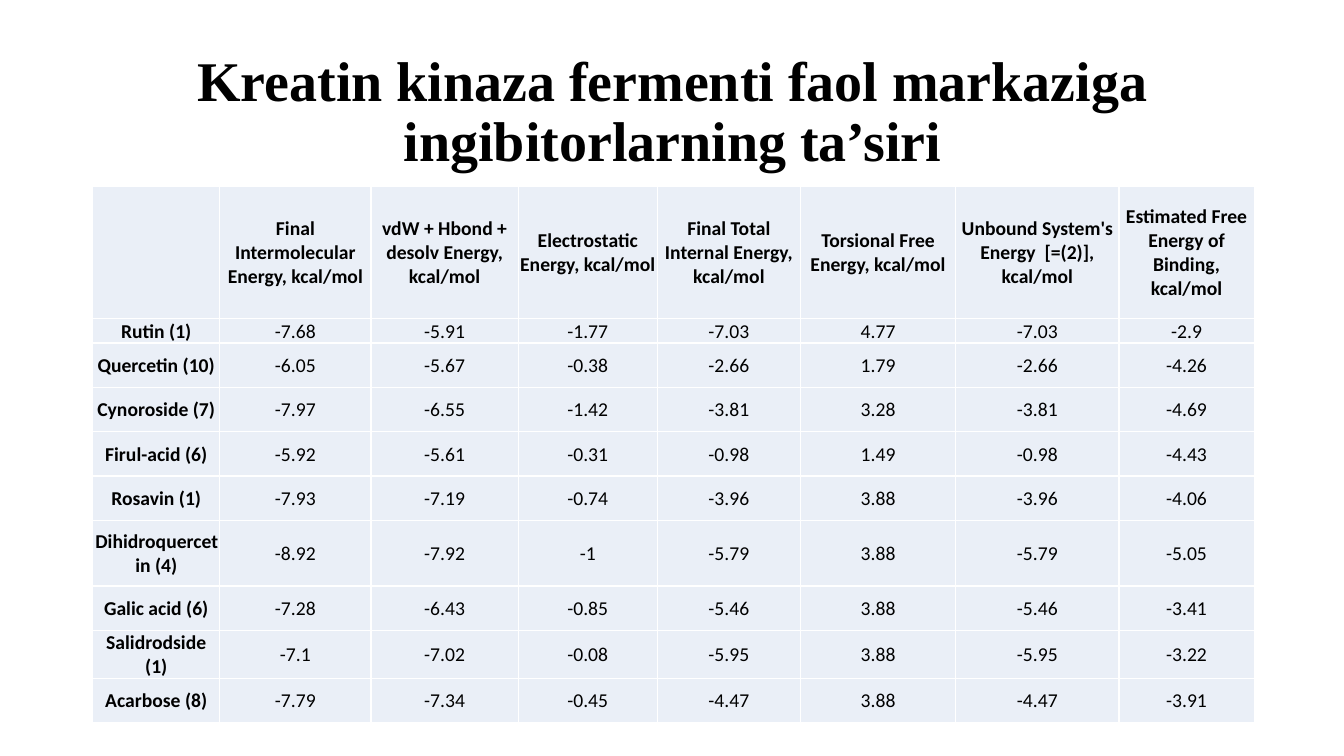
from dataclasses import dataclass

from lxml.etree import SubElement
from pptx import Presentation
from pptx.dml.color import RGBColor
from pptx.enum.text import MSO_VERTICAL_ANCHOR as Anchor, PP_PARAGRAPH_ALIGNMENT as Align
from pptx.oxml.ns import qn
from pptx.slide import Slide
from pptx.table import _Cell as Cell
from pptx.text.text import TextFrame
from pptx.util import Inches, Pt

BLACK = RGBColor(0x00, 0x00, 0x00)
WHITE = RGBColor(0xFF, 0xFF, 0xFF)
PALE_BLUE = RGBColor(0xEA, 0xEF, 0xF7)

LEFT = 0.92
WIDTH = 11.5
TITLE = "Kreatin kinaza fermenti faol markaziga ingibitorlarning ta’siri"


@dataclass(frozen=True)
class Column:
    heading: str
    width: float


@dataclass(frozen=True)
class Inhibitor:
    name: str
    energies: tuple[str, ...]
    height: float = 0.44


HEADING_HEIGHT = 1.31
COLUMNS = [
    Column("", 1.26),
    Column("Final Intermolecular Energy, kcal/mol", 1.5),
    Column("vdW + Hbond + desolv Energy, kcal/mol", 1.46),
    Column("Electrostatic Energy, kcal/mol", 1.38),
    Column("Final Total Internal Energy, kcal/mol", 1.42),
    Column("Torsional Free Energy, kcal/mol", 1.54),
    Column("Unbound System's Energy  [=(2)], kcal/mol", 1.62),
    Column("Estimated Free Energy of Binding, kcal/mol", 1.34),
]
INHIBITORS = [
    Inhibitor("Rutin (1)", ("-7.68", "-5.91", "-1.77", "-7.03", "4.77", "-7.03", "-2.9"), 0.22),
    Inhibitor("Quercetin (10)", ("-6.05", "-5.67", "-0.38", "-2.66", "1.79", "-2.66", "-4.26")),
    Inhibitor("Cynoroside (7)", ("-7.97", "-6.55", "-1.42", "-3.81", "3.28", "-3.81", "-4.69")),
    Inhibitor("Firul-acid (6)", ("-5.92", "-5.61", "-0.31", "-0.98", "1.49", "-0.98", "-4.43")),
    Inhibitor("Rosavin (1)", ("-7.93", "-7.19", "-0.74", "-3.96", "3.88", "-3.96", "-4.06")),
    Inhibitor("Dihidroquercetin (4)", ("-8.92", "-7.92", "-1", "-5.79", "3.88", "-5.79", "-5.05"), 0.65),
    Inhibitor("Galic acid (6)", ("-7.28", "-6.43", "-0.85", "-5.46", "3.88", "-5.46", "-3.41")),
    Inhibitor("Salidrodside (1)", ("-7.1", "-7.02", "-0.08", "-5.95", "3.88", "-5.95", "-3.22")),
    Inhibitor("Acarbose (8)", ("-7.79", "-7.34", "-0.45", "-4.47", "3.88", "-4.47", "-3.91")),
]


def write(frame: TextFrame, text: str, *, font: str, size: float, bold: bool,
          line_spacing: float = 1.0) -> None:
    frame.word_wrap = True
    paragraph = frame.paragraphs[0]
    paragraph.alignment = Align.CENTER
    paragraph.line_spacing = line_spacing
    paragraph.font.size = Pt(size)
    if not text:
        return
    run = paragraph.add_run()
    run.text = text
    run.font.name = font
    run.font.size = Pt(size)
    run.font.bold = bold
    run.font.color.rgb = BLACK


def add_borders(cell: Cell) -> None:
    properties = cell._tc.get_or_add_tcPr()
    for side in ("a:lnL", "a:lnR", "a:lnT", "a:lnB"):
        line = SubElement(properties, qn(side), w=str(Pt(1)))
        fill = SubElement(line, qn("a:solidFill"))
        SubElement(fill, qn("a:srgbClr"), val=str(WHITE))


def style_cell(cell: Cell, text: str, bold: bool) -> None:
    cell.margin_left = cell.margin_right = cell.margin_top = Inches(0.01)
    cell.margin_bottom = 0
    cell.vertical_anchor = Anchor.MIDDLE
    add_borders(cell)
    cell.fill.solid()
    cell.fill.fore_color.rgb = PALE_BLUE
    write(cell.text_frame, text, font="Calibri", size=14, bold=bold)


def add_title(slide: Slide) -> None:
    title = slide.shapes.add_textbox(Inches(LEFT), Inches(0.4), Inches(WIDTH), Inches(1.45))
    title.text_frame.vertical_anchor = Anchor.MIDDLE
    write(title.text_frame, TITLE, font="Times New Roman", size=40, bold=True, line_spacing=0.9)


def add_energy_table(slide: Slide) -> None:
    rows = [tuple(column.heading for column in COLUMNS)]
    rows += [(inhibitor.name, *inhibitor.energies) for inhibitor in INHIBITORS]
    heights = [HEADING_HEIGHT] + [inhibitor.height for inhibitor in INHIBITORS]
    energy_table = slide.shapes.add_table(
        len(rows), len(COLUMNS), Inches(LEFT), Inches(1.85), Inches(WIDTH), Inches(sum(heights))
    ).table
    for table_column, column in zip(energy_table.columns, COLUMNS):
        table_column.width = Inches(column.width)
    for row_index, (row, height) in enumerate(zip(rows, heights)):
        energy_table.rows[row_index].height = Inches(height)
        for column_index, text in enumerate(row):
            is_label = row_index == 0 or column_index == 0
            style_cell(energy_table.cell(row_index, column_index), text, is_label)


def main() -> None:
    presentation = Presentation()
    presentation.slide_width = Inches(13.33)
    presentation.slide_height = Inches(7.5)
    slide = presentation.slides.add_slide(presentation.slide_layouts[6])
    add_title(slide)
    add_energy_table(slide)
    presentation.save("out.pptx")


if __name__ == "__main__":
    main()
